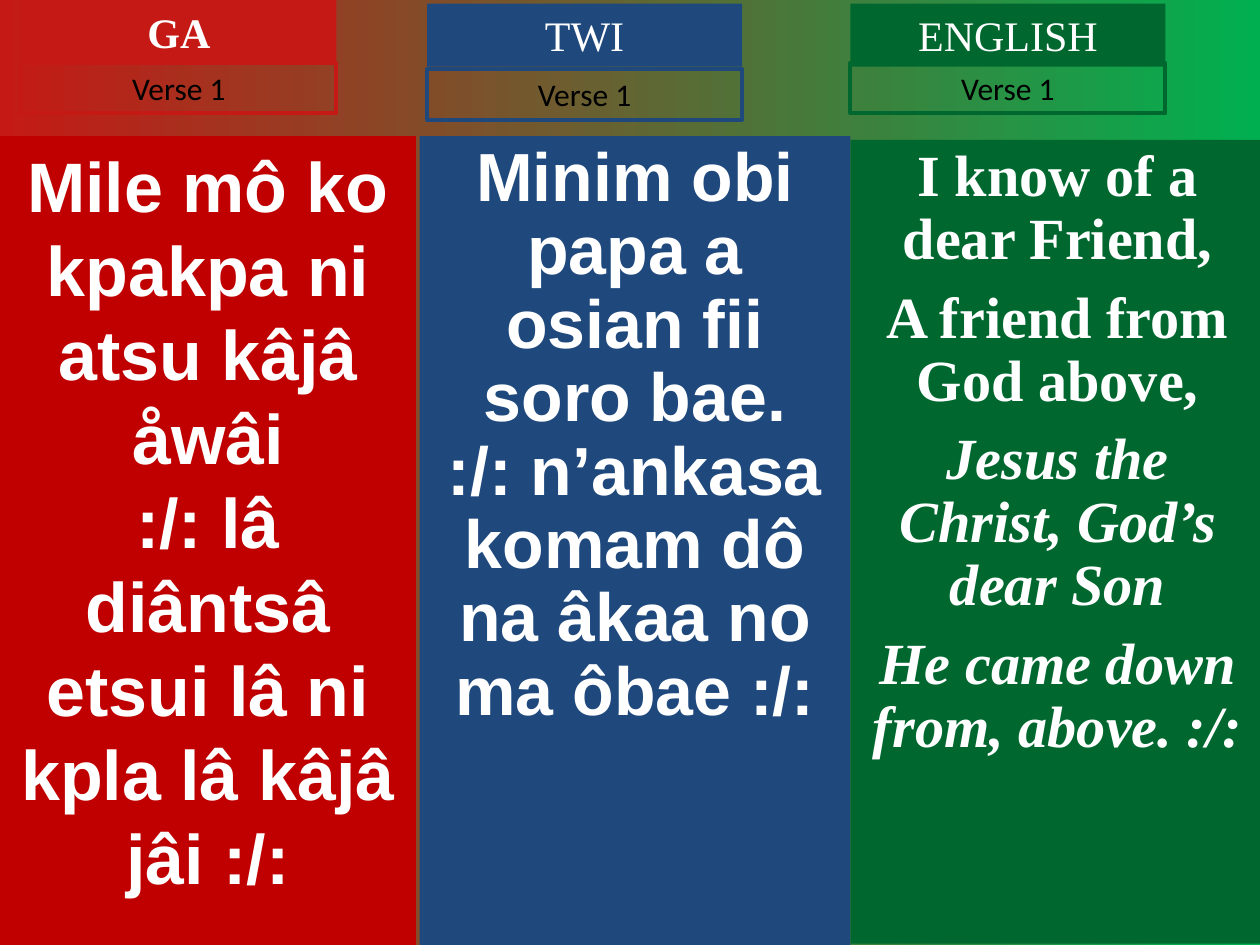
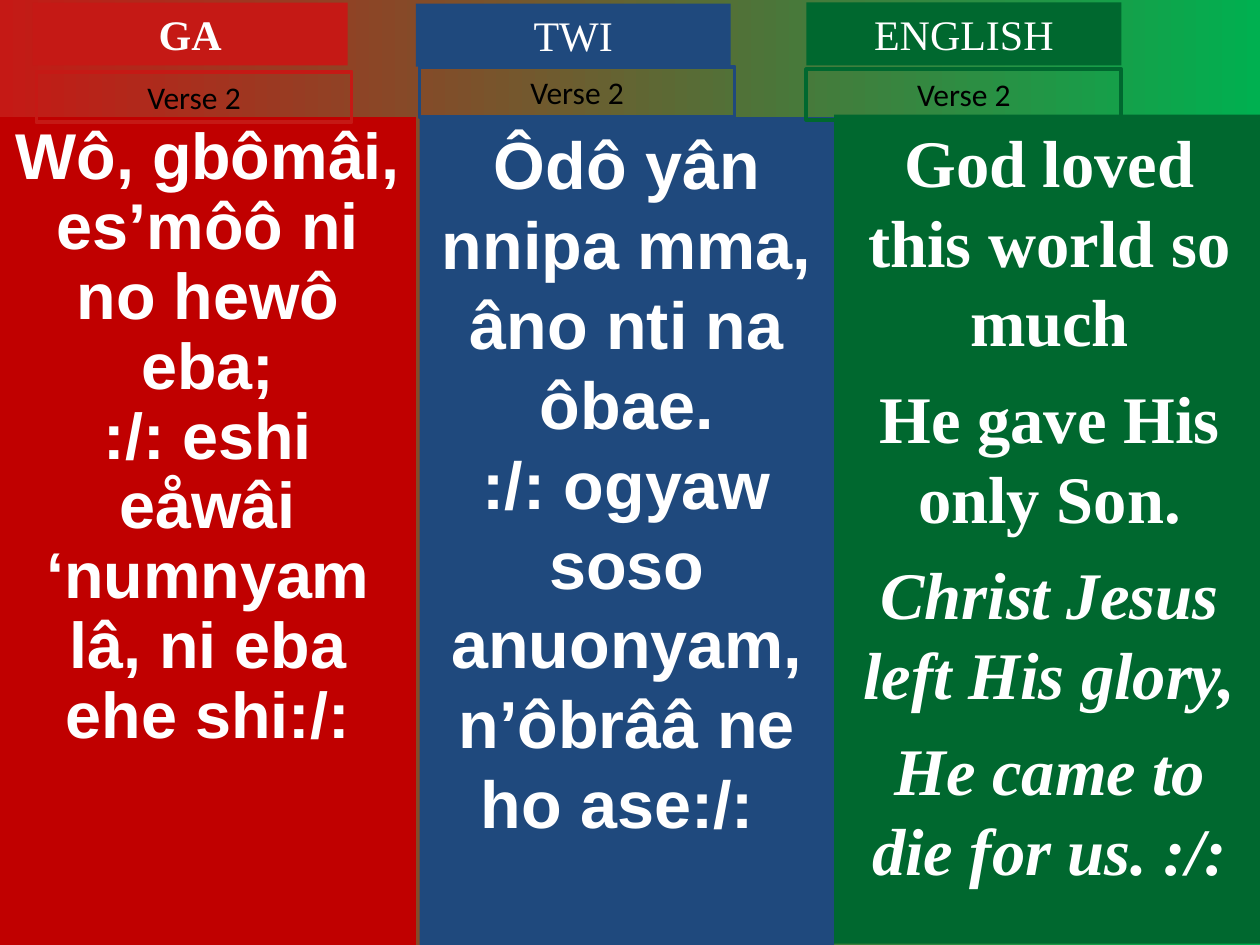
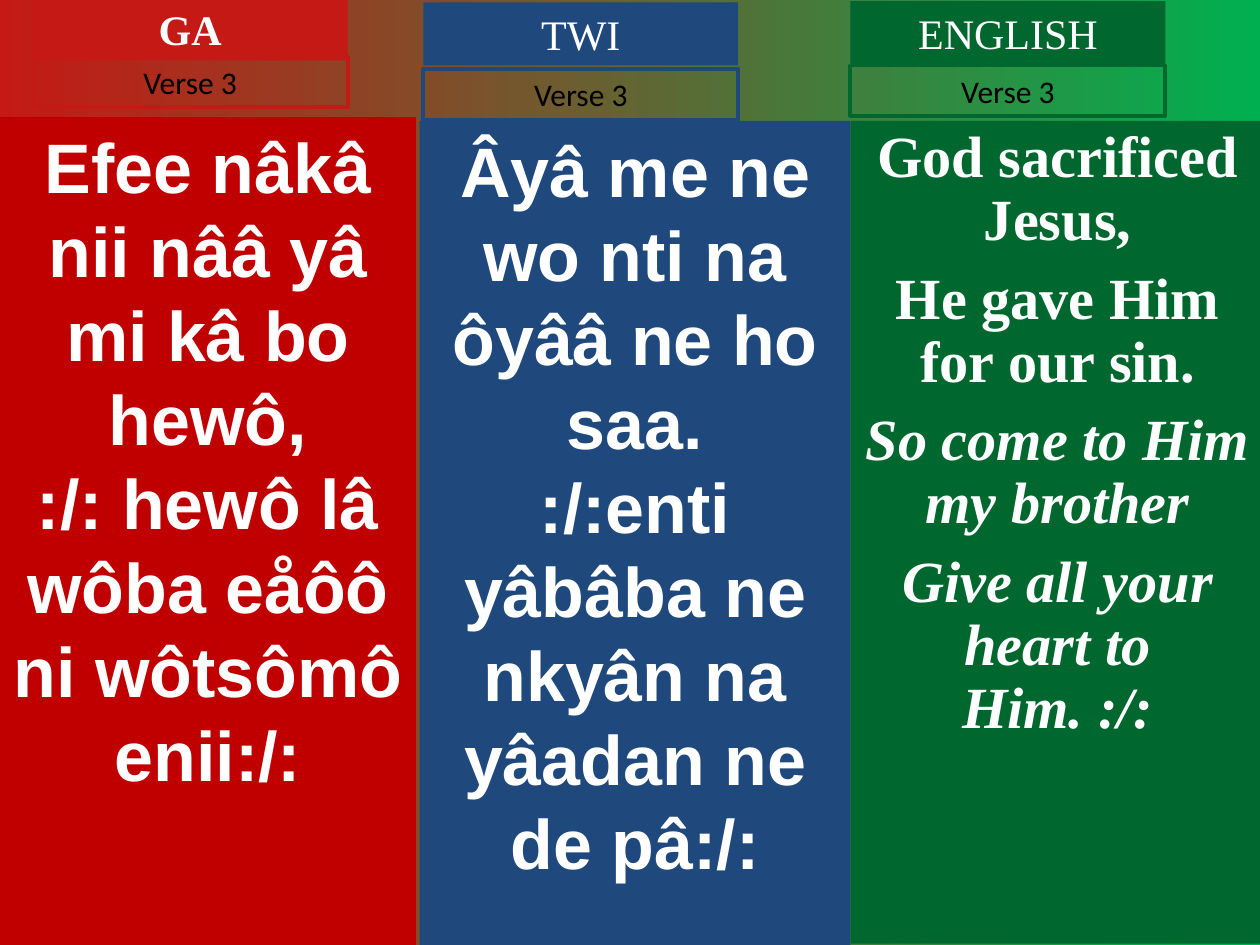
from collections import namedtuple

from lxml import etree
from pptx import Presentation
from pptx.dml.color import RGBColor
from pptx.enum.text import MSO_ANCHOR, MSO_AUTO_SIZE, PP_ALIGN
from pptx.oxml.ns import qn
from pptx.util import Inches, Pt

CENTER, TOP, NO_FIT = PP_ALIGN.CENTER, MSO_ANCHOR.TOP, MSO_AUTO_SIZE.NONE
TWO_CONTENT = 3

THEME = {
    "background": ("C51915", "00B050"),
    "light": "FFFFFF",
    "dark": "000000",
    "heading": ("Times New Roman", 24),
    "label": ("Calibri", 18),
    "outline": 2.25,
}
TAB_WIDTH, HEADING_HEIGHT, LABEL_HEIGHT = 2.5, 0.5, 0.4

Language = namedtuple("Language", "name color panel_color bold_name font bottom italic_from")
LANGUAGES = [
    Language("GA", "C51915", "C00000", True, "Arial", 7.5, None),
    Language("TWI", "1F497D", "1F497D", False, "Arial", 7.5, None),
    Language("ENGLISH", "00682F", "00682F", False, "Times New Roman", 7.49, 2),
]

# heading and label: (left, top); panel: (left, top, width)
Column = namedtuple("Column", "heading label panel size leading gap lines")
VERSES = [
    [
        Column((0.17, 0), (0.17, 0.5), (0, 1.08, 3.3), 40, 1, 0, [
            "Mile mô ko kpakpa ni atsu kâjâ åwâi",
            ":/: lâ diântsâ etsui lâ ni kpla lâ kâjâ jâi :/:"]),
        Column((3.39, 0.03), (3.39, 0.55), (3.33, 1.08, 3.42), 38.9, 0.9, 0, [
            "Minim obi papa a osian fii soro bae.",
            ":/: n’ankasa komam dô na âkaa no ma ôbae :/:"]),
        Column((6.75, 0.03), (6.75, 0.5), (6.75, 1.11, 3.29), 33.3, 0.9, 9, [
            "I know of a dear Friend,",
            "A friend from God above,",
            "Jesus the Christ, God’s dear Son",
            "He came down from, above. :/:"]),
    ],
    [
        Column((0.26, 0.02), (0.29, 0.57), (0, 0.93, 3.3), 37, 0.9, 0, [
            "Wô, gbômâi, es’môô ni no hewô eba;",
            ":/: eshi eåwâi ‘numnyam lâ, ni eba ehe shi:/:"]),
        Column((3.3, 0.03), (3.33, 0.53), (3.33, 0.93, 3.29), 38, 1, 0, [
            "Ôdô yân nnipa mma, âno nti na ôbae.",
            ":/: ogyaw soso anuonyam, n’ôbrââ ne ho ase:/: "]),
        Column((6.4, 0.02), (6.4, 0.55), (6.62, 0.91, 3.42), 38, 1, 9.5, [
            "God loved this world so much",
            "He gave His only Son.",
            "Christ Jesus left His glory,",
            "He came to die for us. :/:"]),
    ],
    [
        Column((0.26, -0.02), (0.26, 0.45), (0, 0.93, 3.3), 40, 1, 0, [
            "Efee nâkâ nii nââ yâ mi kâ bo hewô,",
            ":/: hewô lâ wôba eåôô ni wôtsômô enii:/:"]),
        Column((3.36, 0.02), (3.36, 0.55), (3.33, 0.96, 3.42), 40, 1, 0, [
            "Âyâ me ne wo nti na ôyââ ne ho saa.",
            ":/:enti yâbâba ne nkyân na yâadan ne de pâ:/:"]),
        Column((6.75, 0.01), (6.75, 0.52), (6.75, 0.96, 3.29), 33.3, 0.9, 9, [
            "God sacrificed Jesus,",
            "He gave Him for our sin.",
            "So come to Him my brother",
            "Give all your heart to Him. :/:"]),
    ],
]


def rgb(value):
    return RGBColor.from_string(value)


def place(slide, holder, left, top, width, height):
    """Move the placeholder, or add a text box if there is none, and ready its frame."""
    spot = [Inches(n) for n in (left, top, width, height)]
    box = holder or slide.shapes.add_textbox(*spot)
    box.left, box.top, box.width, box.height = spot
    frame = box.text_frame
    frame.word_wrap, frame.auto_size, frame.vertical_anchor = True, NO_FIT, TOP
    frame.margin_left = frame.margin_right = Inches(0.1)
    frame.margin_top = frame.margin_bottom = Inches(0.05)
    return box


def fill(box, color):
    box.fill.solid()
    box.fill.fore_color.rgb = rgb(color)


def write(box, lines, font, size, color, bold=False, italic_from=None, leading=1, gap=0):
    frame = box.text_frame
    for index, line in enumerate(lines):
        paragraph = frame.add_paragraph() if index else frame.paragraphs[0]
        properties = paragraph._p.get_or_add_pPr()
        properties.set("marL", "0")
        properties.set("indent", "0")
        etree.SubElement(properties, qn("a:buNone"))
        paragraph.alignment = CENTER
        paragraph.line_spacing = leading
        paragraph.space_before = Pt(gap if index else 0)
        run = paragraph.add_run()
        run.text = line
        run.font.name, run.font.size = font, Pt(size)
        run.font.color.rgb = rgb(color)
        run.font.bold = bold
        run.font.italic = italic_from is not None and index >= italic_from


def add_column(slide, language, column, verse, title, body):
    left, top, width = column.panel
    panel = place(slide, body, left, top, width, language.bottom - top)
    fill(panel, language.panel_color)
    write(panel, column.lines, language.font, column.size, THEME["light"], True,
          language.italic_from, column.leading, column.gap)

    heading = place(slide, title, *column.heading, TAB_WIDTH, HEADING_HEIGHT)
    fill(heading, language.color)
    write(heading, [language.name], *THEME["heading"], THEME["light"], language.bold_name)

    label = place(slide, None, *column.label, TAB_WIDTH, LABEL_HEIGHT)
    label.line.color.rgb = rgb(language.color)
    label.line.width = Pt(THEME["outline"])
    write(label, [f"Verse {verse}"], *THEME["label"], THEME["dark"])


def set_background(master):
    backdrop = master.background.fill
    backdrop.gradient()
    backdrop.gradient_angle = 0
    for position, (stop, color) in enumerate(zip(backdrop.gradient_stops, THEME["background"])):
        stop.position = position
        stop.color.rgb = rgb(color)


def main():
    deck = Presentation()
    deck.slide_width, deck.slide_height = Inches(10), Inches(7.5)
    set_background(deck.slide_master)
    for verse, columns in enumerate(VERSES, 1):
        slide = deck.slides.add_slide(deck.slide_layouts[TWO_CONTENT])
        titles = [slide.shapes.title, None, None]
        bodies = [slide.placeholders[1], slide.placeholders[2], None]
        for language, column, title, body in zip(LANGUAGES, columns, titles, bodies):
            add_column(slide, language, column, verse, title, body)
    deck.save("out.pptx")


if __name__ == "__main__":
    main()
